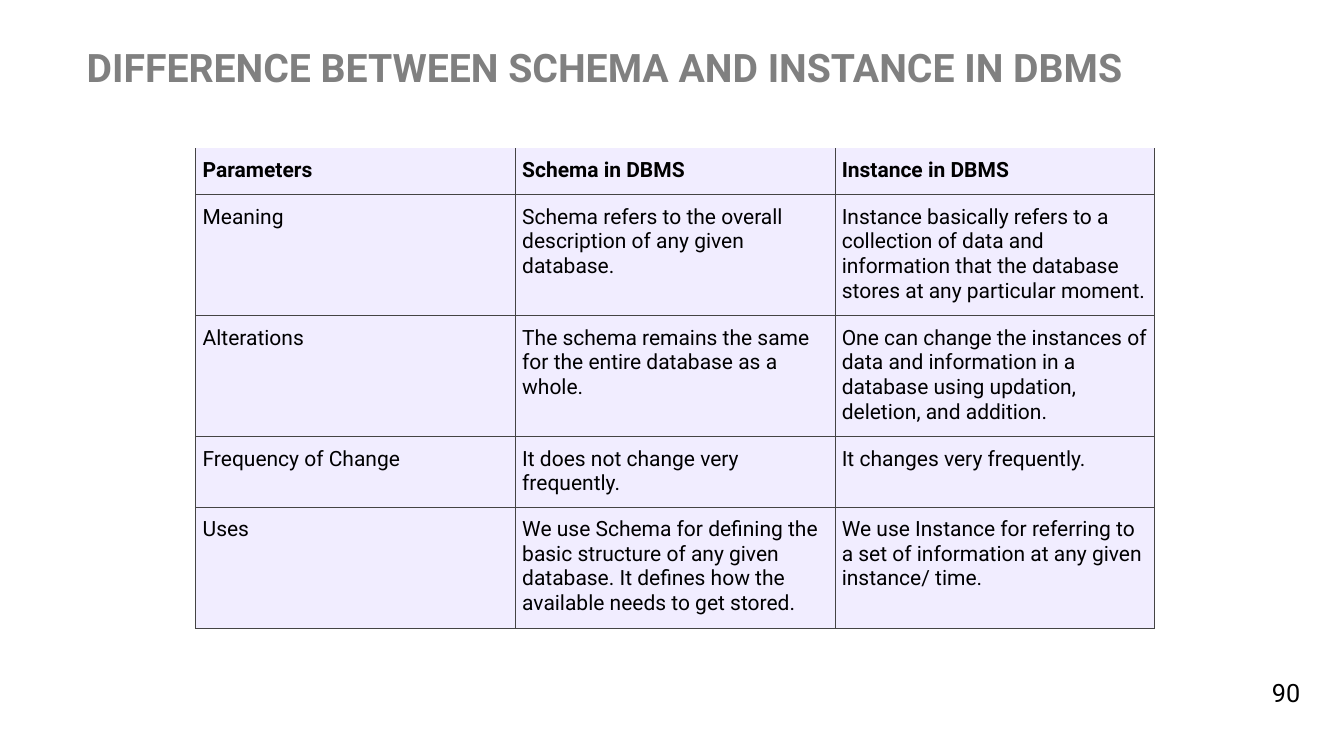
from lxml.etree import SubElement
from pptx import Presentation
from pptx.dml.color import RGBColor
from pptx.enum.text import MSO_ANCHOR, PP_ALIGN
from pptx.oxml.ns import qn
from pptx.util import Inches, Pt

FONT = "Roboto"
GREY, BLACK, LILAC, EDGE = "808080", "000000", "F1EDFF", "444444"
WIDTH = 3.17
HEIGHTS = [0.46, 1.2, 1.2, 0.7, 1.2]
ROWS = [
    ("Parameters", "Schema in DBMS", "Instance in DBMS"),
    ("Meaning",
     "Schema refers to the overall description of any given database.",
     "Instance basically refers to a collection of data and information "
     "that the database stores at any particular moment."),
    ("Alterations",
     "The schema remains the same for the entire database as a whole.",
     "One can change the instances of data and information in a database "
     "using updation, deletion, and addition."),
    ("Frequency of Change",
     "It does not change very frequently.",
     "It changes very frequently."),
    ("Uses",
     "We use Schema for defining the basic structure of any given database. "
     "It defines how the available needs to get stored.",
     "We use Instance for referring to a set of information at any given "
     "instance/ time."),
]


def color(code):
    return RGBColor.from_string(code)


def write(frame, text, size=15, tint=BLACK, bold=False,
          align=PP_ALIGN.LEFT, space=1.0):
    frame.word_wrap = True
    par = frame.paragraphs[0]
    par.alignment, par.line_spacing = align, space
    run = par.add_run()
    run.text = text
    font = run.font
    font.name, font.size, font.bold = FONT, Pt(size), bold
    font.color.rgb = color(tint)


def place(shape, left, top, width, height):
    shape.left, shape.top = Inches(left), Inches(top)
    shape.width, shape.height = Inches(width), Inches(height)


def border(cell, side, width):
    """Draw one cell edge; a width of 0 leaves it clear."""
    line = SubElement(cell._tc.get_or_add_tcPr(), qn(f"a:ln{side}"),
                      w=str(int(Pt(width))))
    if width:
        fill = SubElement(line, qn("a:solidFill"))
        SubElement(fill, qn("a:srgbClr"), val=EDGE)
    else:
        SubElement(line, qn("a:noFill"))


def add_title(slide, text):
    title = slide.shapes.title
    place(title, 0.76, 0.43, 10.79, 0.92)
    title.text_frame.vertical_anchor = MSO_ANCHOR.TOP
    write(title.text_frame, text, size=28, tint=GREY, bold=True, space=0.9)


def add_grid(slide):
    count = len(ROWS[0])
    table = slide.shapes.add_table(
        len(ROWS), count, Inches(1.94), Inches(1.47),
        Inches(WIDTH * count), Inches(sum(HEIGHTS))).table
    table.first_row = table.horz_banding = False
    for col in table.columns:
        col.width = Inches(WIDTH)
    for r, (height, texts) in enumerate(zip(HEIGHTS, ROWS)):
        table.rows[r].height = Inches(height)
        last = r == len(ROWS) - 1
        edges = {"L": 0.38, "R": 0.38, "T": 0.38 if r else 0,
                 "B": 0.75 if last else 0.38}
        for c, text in enumerate(texts):
            cell = table.cell(r, c)
            cell.margin_left = cell.margin_right = Inches(0.07)
            cell.margin_top = cell.margin_bottom = Inches(0.1)
            for side, width in edges.items():
                border(cell, side, width)
            cell.fill.solid()
            cell.fill.fore_color.rgb = color(LILAC)
            write(cell.text_frame, text, bold=r == 0)


def add_number(slide, text):
    box = slide.shapes.add_textbox(0, 0, 0, 0)
    place(box, 12.43, 6.67, 0.65, 0.4)
    box.text_frame.vertical_anchor = MSO_ANCHOR.MIDDLE
    write(box.text_frame, text, size=18, align=PP_ALIGN.CENTER)


def main():
    deck = Presentation()
    deck.slide_width, deck.slide_height = Inches(13.33), Inches(7.5)
    slide = deck.slides.add_slide(deck.slide_layouts[5])

    # Heading
    add_title(slide, "DIFFERENCE BETWEEN SCHEMA AND INSTANCE IN DBMS")
    # Comparison table
    add_grid(slide)
    # Page number
    add_number(slide, "90")

    deck.save("out.pptx")


if __name__ == "__main__":
    main()
